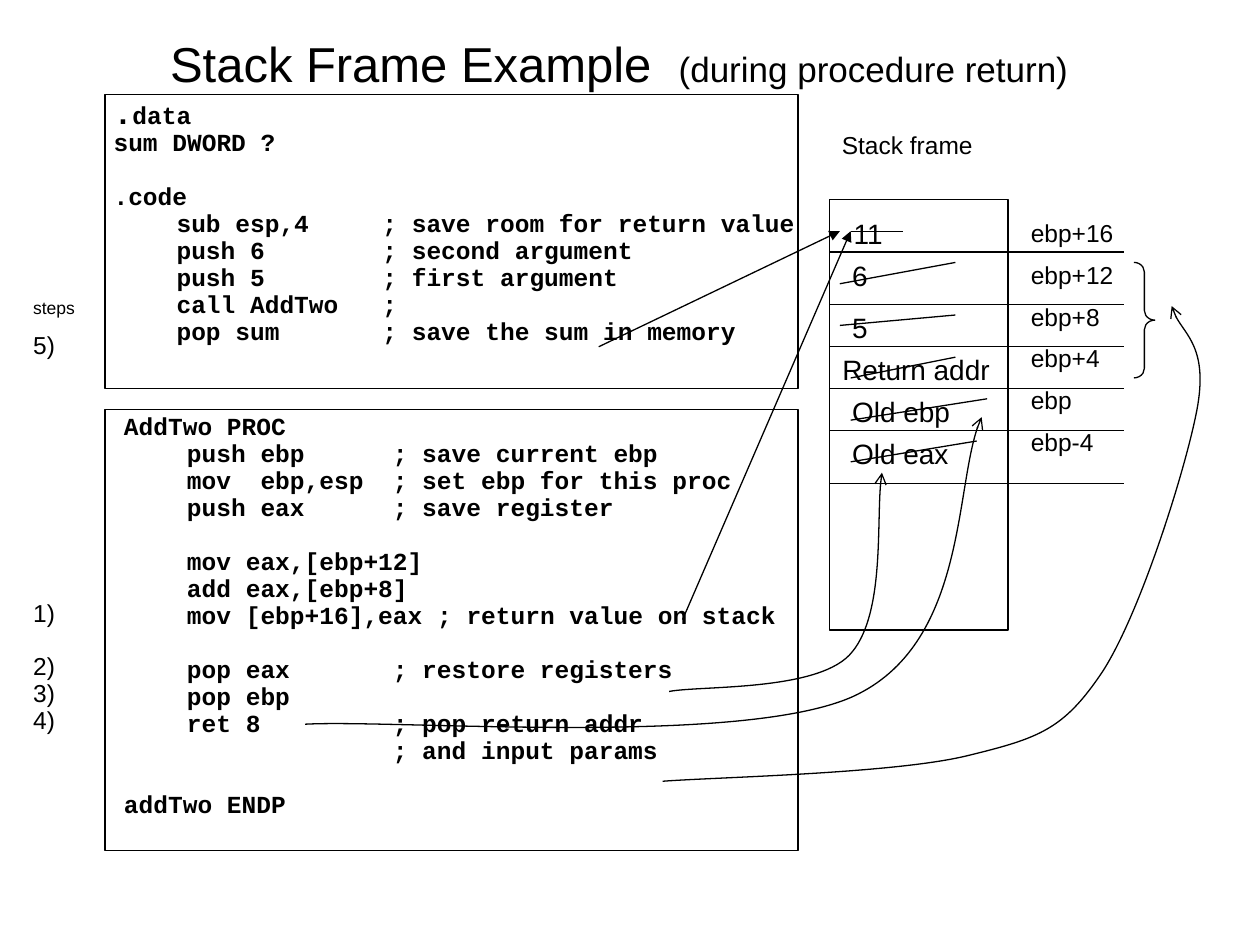
from lxml import etree
from pptx import Presentation
from pptx import util as u
from pptx.dml.color import RGBColor
from pptx.enum import shapes, text
from pptx.oxml.ns import qn

BLACK = "000000"
LABEL_INSETS = (0.25, 0.38)
CODE_INSETS = (0.38, 0.51)
CODE_TABS = (1.27, 5.42)  # instruction column, comment column
LINE, GAP = 7, 22.4       # space before a plain line, and after a skipped one

DATA_CODE = [
    ("sum DWORD ?", LINE),
    (".code", GAP),
    ("\tsub esp,4\t; save room for return value", LINE),
    ("\tpush 6\t; second argument", LINE),
    ("\tpush 5\t; first argument", LINE),
    ("\tcall AddTwo\t;", LINE),
    ("\tpop sum\t; save the sum in memory", LINE),
]
PROC_CODE = [
    ("AddTwo PROC", LINE),
    ("\tpush ebp\t; save current ebp", LINE),
    ("\tmov  ebp,esp\t; set ebp for this proc", LINE),
    ("\tpush eax\t; save register", LINE),
    ("\tmov eax,[ebp+12]", GAP),
    ("\tadd eax,[ebp+8]", LINE),
    ("\tmov [ebp+16],eax ; return value on stack", LINE),
    ("\tpop eax\t; restore registers", GAP),
    ("\tpop ebp", LINE),
    ("\tret 8\t; pop return addr", LINE),
    ("\t\t; and input params", LINE),
    ("addTwo ENDP", GAP),
]
STEPS = [("1)", 143.6), ("2)", GAP), ("3)", LINE), ("4)", LINE)]
OFFSETS = ["ebp+16", "ebp+12", "ebp+8", "ebp+4", "ebp", "ebp-4"]

# Stack cells: text, left, top, width, rule below, strike-through line
CELLS = [
    ("11", 16.96, 4.02, 1.1, 5.08, (17.15, 4.66, 18.2, 4.66)),
    ("6", 16.93, 4.87, 0.82, 6.14, (16.93, 5.72, 19.26, 5.29)),
    ("5", 16.93, 5.93, 0.82, 6.99, (16.93, 6.56, 19.26, 6.35)),
    ("Return addr", 16.73, 6.77, 3.49, 7.83, (17.15, 7.62, 19.26, 7.2)),
    ("Old ebp", 16.93, 7.62, 2.48, 8.68, (17.15, 8.47, 19.9, 8.04)),
    ("Old eax", 16.93, 8.47, 2.45, 9.74, (17.15, 9.31, 19.69, 8.89)),
]
STACK_LEFT, RULE_RIGHT = 16.72, 22.66

# Each curve: start, then two control points and an end per piece
CURVES = [
    [(13.49, 13.94), (14.1, 13.82), (16.41, 13.94), (17.12, 13.21),
     (17.83, 12.47), (17.65, 10.29), (17.78, 9.53)],
    [(6.15, 14.6), (7.98, 14.5), (14.94, 15.06), (17.2, 14.04),
     (19.46, 13), (19.23, 9.6), (19.79, 8.41)],
    [(13.36, 15.75), (14.38, 15.67), (17.98, 15.6), (19.48, 15.24),
     (20.96, 14.88), (21.44, 14.71), (22.22, 13.55),
     (22.99, 12.37), (23.9, 9.47), (24.13, 8.26),
     (24.36, 7.04), (23.72, 6.6), (23.62, 6.17)],
]


def color(value):
    return RGBColor.from_string(value)


def cm(*values):
    return [u.Cm(value) for value in values]


def add_box(page, area, insets=LABEL_INSETS, wrap=True, anchor=text.MSO_ANCHOR.TOP):
    frame = page.shapes.add_textbox(*cm(*area)).text_frame
    frame.word_wrap = wrap
    if not wrap:
        frame.auto_size = text.MSO_AUTO_SIZE.SHAPE_TO_FIT_TEXT
    frame.vertical_anchor = anchor
    frame.margin_left = frame.margin_right = u.Cm(insets[0])
    frame.margin_top = frame.margin_bottom = u.Cm(insets[1])
    return frame


def write(frame, *spans, size=14, font="Arial", bold=False, before=0,
          spacing=None, align=None, tabs=()):
    """Add one paragraph; a span is a string or a (string, size) pair."""
    para = frame.paragraphs[0]
    if para.runs:
        para = frame.add_paragraph()
    para.space_before = u.Pt(before)
    para.line_spacing = spacing
    para.alignment = align
    if tabs:
        stops = etree.SubElement(para._p.get_or_add_pPr(), qn("a:tabLst"))
        for stop in tabs:
            etree.SubElement(stops, qn("a:tab"), pos=str(u.Cm(stop)), algn="l")
    for item in spans:
        words, points = item if isinstance(item, tuple) else (item, size)
        span = para.add_run()
        span.text = words
        span.font.size = u.Pt(points)
        span.font.name = font
        span.font.bold = bold
        span.font.color.rgb = color(BLACK)


def write_code(frame, *spans, before):
    write(frame, *spans, font="Courier New", bold=True, before=before,
          spacing=0.5, tabs=CODE_TABS)


def style_line(shape, head=None):
    shape.line.color.rgb = color(BLACK)
    shape.line.width = u.Pt(0.75)
    if head:
        etree.SubElement(shape.line._get_or_add_ln(), qn("a:tailEnd"), type=head)


def add_outline(page, kind, area):
    shape = page.shapes.add_shape(kind, *cm(*area))
    shape.fill.background()
    shape.shadow.inherit = False
    style_line(shape)
    return shape


def add_line(page, ends, head=None):
    line = page.shapes.add_connector(shapes.MSO_CONNECTOR.STRAIGHT, *cm(*ends))
    style_line(line, head)
    etree.SubElement(line._element.spPr, qn("a:effectLst"))


def add_curve(page, points):
    start, *rest = [cm(*point) for point in points]
    builder = page.shapes.build_freeform(*start)
    builder.add_line_segments(rest, close=False)
    curve = builder.convert_to_shape()
    # Gather every three straight segments into one Bezier piece
    segments = list(curve._element.iter(qn("a:lnTo")))
    outline = segments[0].getparent()
    for index in range(0, len(segments), 3):
        piece = etree.SubElement(outline, qn("a:cubicBezTo"))
        for segment in segments[index:index + 3]:
            piece.append(segment[0])
            outline.remove(segment)
    curve.fill.background()
    curve.shadow.inherit = False
    style_line(curve, "arrow")


def add_code(page):
    data = add_box(page, (1.91, 1.69, 19.69, 6.14), CODE_INSETS)
    write_code(data, (".", 18), "data", before=9)
    procedure = add_box(page, (2.12, 8.04, 13.97, 8.89), CODE_INSETS)
    for frame, lines in ((data, DATA_CODE), (procedure, PROC_CODE)):
        for line, before in lines:
            write_code(frame, line, before=before)
    for top, height in ((1.91, 5.93), (8.26, 8.89)):
        add_outline(page, shapes.MSO_SHAPE.RECTANGLE, (2.12, top, 13.97, height))


def add_stack(page):
    add_outline(page, shapes.MSO_SHAPE.RECTANGLE, (STACK_LEFT, 4.02, 3.6, 8.68))
    write(add_box(page, (STACK_LEFT, 2.33, 4.23, 1.35)), "Stack frame", before=LINE)
    offsets = add_box(page, (20.53, 4.02, 2.54, 5.54))
    for offset in OFFSETS:
        write(offsets, offset, before=LINE)
    for words, left, top, width, rule, strike in CELLS:
        add_line(page, (STACK_LEFT, rule, RULE_RIGHT, rule))
        add_line(page, strike)
        write(add_box(page, (left, top, width, 1.44), wrap=False), words, size=16)
    brace = add_outline(page, shapes.MSO_SHAPE.RIGHT_BRACE, (22.86, 5.29, 0.42, 2.33))
    brace.adjustments[0] = 0.46


def add_steps(page):
    steps = add_box(page, (0.42, 5.72, 1.47, 9.42))
    write(steps, "steps", size=10, before=5, spacing=0.7)
    write(steps, "5)", before=LINE)
    for step, before in STEPS:
        write(steps, step, before=before, spacing=0.5)


def main():
    deck = Presentation()
    deck.slide_width, deck.slide_height = cm(25.4, 19.05)
    page = deck.slides.add_slide(deck.slide_layouts[6])

    # Title
    title = add_box(page, (1.69, 0.42, 21.59, 1.69), (0.25, 0.13),
                    anchor=text.MSO_ANCHOR.MIDDLE)
    write(title, "Stack Frame Example  ", ("(during procedure return)", 20),
          size=28, align=text.PP_ALIGN.CENTER)

    # Code, stack and step numbers
    add_code(page)
    add_stack(page)
    add_steps(page)

    # Arrows from the code to the stack
    for ends in ((13.76, 12.49, 17.15, 4.66), (12.07, 6.99, 16.93, 4.66)):
        add_line(page, ends, "triangle")
    for points in CURVES:
        add_curve(page, points)

    deck.save("out.pptx")


if __name__ == "__main__":
    main()
